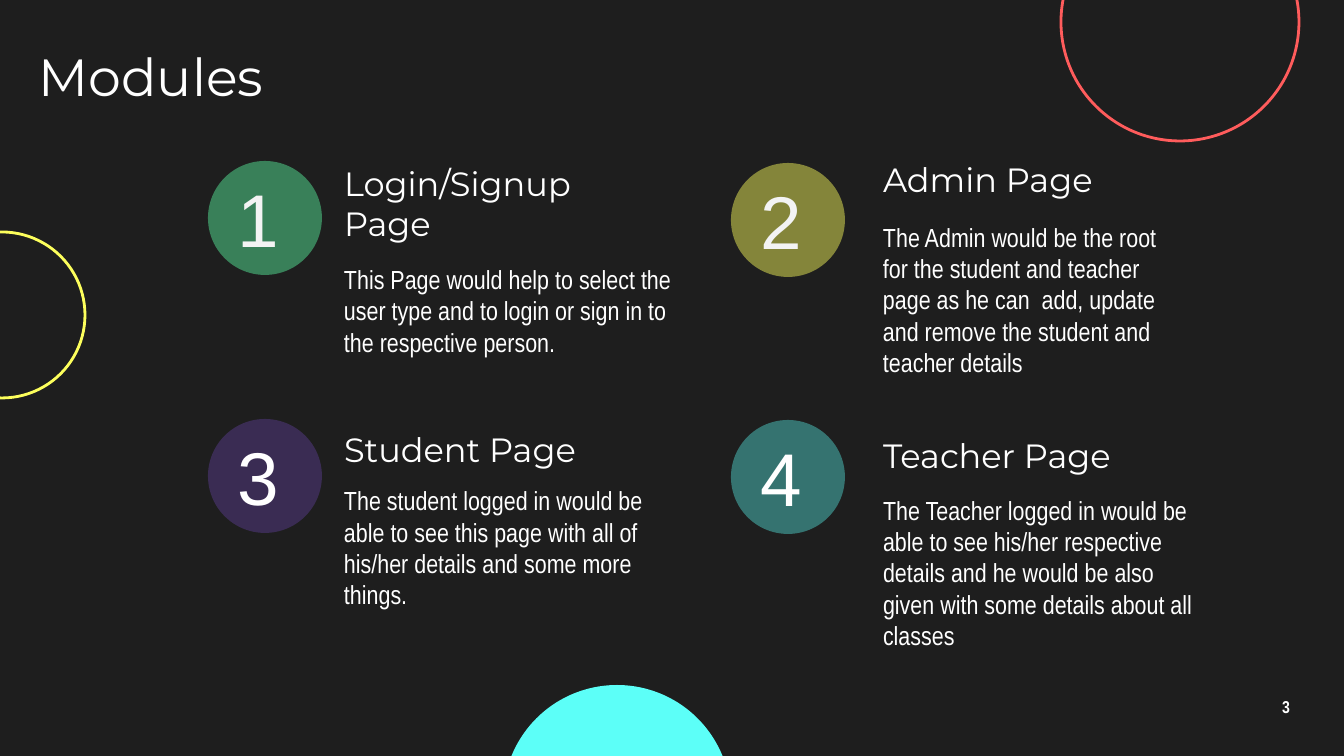
"""Build the Modules slide: four numbered modules in a two by two grid."""
import pptx
import pptx.util
import pptx.dml.color
import pptx.enum.shapes
import pptx.enum.text
import pptx.oxml.ns
import lxml.etree

RGB = pptx.dml.color.RGBColor
DARK = RGB(0x1E, 0x1E, 0x1E)
WHITE = RGB(0xFF, 0xFF, 0xFF)
PALE = RGB(0xF3, 0xF3, 0xF3)
YELLOW = RGB(0xFD, 0xFF, 0x5C)
CYAN = RGB(0x5C, 0xFF, 0xF8)
RED = RGB(0xFF, 0x5C, 0x5C)
GREEN = RGB(0x5C, 0xFF, 0xA6)
PURPLE = RGB(0x95, 0x5C, 0xFF)

HEADING_FONT, BODY_FONT, NUMBER_FONT = "Montserrat", "Arial Narrow", "Arial"
PX = 914400 / 134.4
INSET = 13
BADGE = 114
BADGE_LEFTS = (208, 731)
TEXT_LEFTS = (331, 870)
HEADING_SIZE = (281, 56)
BODY_HEIGHT = 69

TITLE = "Modules"
PAGE_NUMBER = "3"
MODULES = [
    dict(heading="Login/Signup Page",
         body="This Page would help to select the user type and to login or sign in to "
              "the respective person.",
         fill=GREEN, opacity=44, ink=PALE, tops=(161, 175, 276), width=367),
    dict(heading="Admin Page",
         body="The Admin would be the root for the student and teacher page as he can  "
              "add, update and remove the student and teacher details",
         fill=YELLOW, opacity=46, ink=PALE, tops=(163, 151, 265), width=329),
    dict(heading="Student Page",
         body="The student logged in would be able to see this page with all of his/her "
              "details and some more things.",
         fill=PURPLE, opacity=24, ink=WHITE, tops=(419, 421, 513), width=341),
    dict(heading="Teacher Page",
         body="The Teacher logged in would be able to see his/her respective details and "
              "he would be also given with some details about all classes",
         fill=CYAN, opacity=38, ink=WHITE, tops=(420, 427, 538), width=353),
]


def px(*lengths):
    return [pptx.util.Emu(round(length * PX)) for length in lengths]


def write(shape, text, font, size, color=WHITE, bold=False,
          align=pptx.enum.text.PP_ALIGN.LEFT):
    frame = shape.text_frame
    frame.word_wrap = True
    frame.auto_size = pptx.enum.text.MSO_AUTO_SIZE.NONE
    frame.vertical_anchor = pptx.enum.text.MSO_ANCHOR.MIDDLE
    frame.margin_left, frame.margin_top, frame.margin_right, frame.margin_bottom = px(*[INSET] * 4)
    para = frame.paragraphs[0]
    para.alignment = align
    span = para.add_run()
    span.text = text
    span.font.name = font
    span.font.size = pptx.util.Pt(size)
    span.font.bold = bold
    span.font.color.rgb = color
    return para


def add_text(slide, place, *args, **options):
    return write(slide.shapes.add_textbox(*px(*place)), *args, **options)


def add_circle(slide, left, top, diameter, fill=None, line=None, opacity=None):
    circle = slide.shapes.add_shape(pptx.enum.shapes.MSO_SHAPE.OVAL,
                                    *px(left, top, diameter, diameter))
    circle.shadow.inherit = False
    if fill is None:
        circle.fill.background()
    else:
        circle.fill.solid()
        circle.fill.fore_color.rgb = fill
    if line is None:
        circle.line.fill.background()
    else:
        circle.line.color.rgb = line
        circle.line.width = pptx.util.Pt(1.5)
    if opacity is not None:
        color = circle.fill._xPr.find(".//" + pptx.oxml.ns.qn("a:srgbClr"))
        alpha = lxml.etree.SubElement(color, pptx.oxml.ns.qn("a:alpha"))
        alpha.set("val", str(opacity * 1000))
    return circle


def add_module(slide, index, module):
    column = index % 2
    badge_top, heading_top, body_top = module["tops"]
    left = TEXT_LEFTS[column]
    badge = add_circle(slide, BADGE_LEFTS[column], badge_top, BADGE,
                       fill=module["fill"], opacity=module["opacity"])
    write(badge, str(index + 1), NUMBER_FONT, 40, module["ink"])
    add_text(slide, (left, heading_top, *HEADING_SIZE), module["heading"], HEADING_FONT, 18)
    add_text(slide, (left, body_top, module["width"], BODY_HEIGHT),
             module["body"], BODY_FONT, 14)


def main():
    deck = pptx.Presentation()
    deck.slide_width, deck.slide_height = px(1344, 756)
    slide = deck.slides.add_slide(deck.slide_layouts.get_by_name("Title Only"))
    slide.background.fill.solid()
    slide.background.fill.fore_color.rgb = DARK

    title = slide.shapes.title
    title.left, title.top, title.width, title.height = px(26, 41, 1134, 69)
    write(title, TITLE, HEADING_FONT, 28)

    add_circle(slide, -81, 232, 166, line=YELLOW)
    add_circle(slide, 503, 685, 228, fill=CYAN)
    add_circle(slide, 1061, -97, 238, line=RED)
    for index, module in enumerate(MODULES):
        add_module(slide, index, module)

    number = add_text(slide, (1246, 685, 80, 46), PAGE_NUMBER, BODY_FONT, 9.2, bold=True,
                      align=pptx.enum.text.PP_ALIGN.CENTER)
    number.line_spacing = 0.9
    deck.save("out.pptx")


if __name__ == "__main__":
    main()
